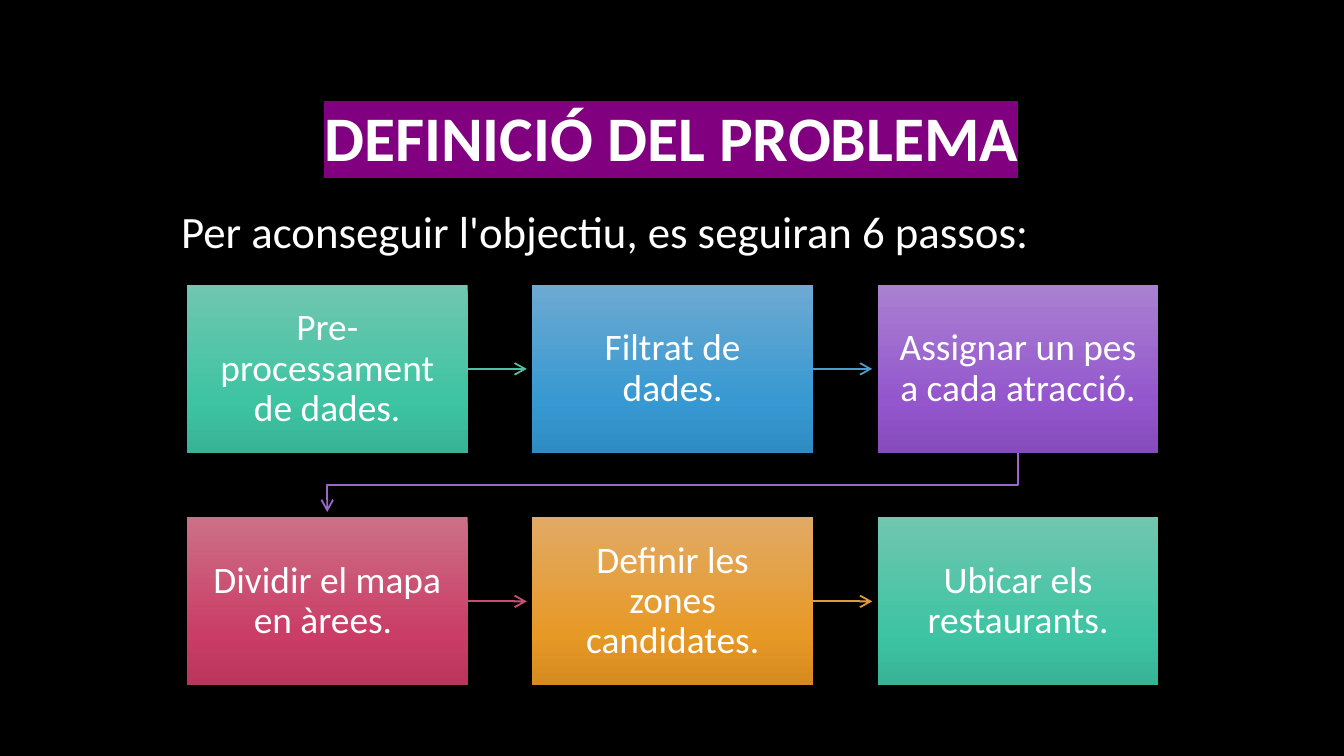
from copy import deepcopy

from lxml import etree
from pptx import Presentation
from pptx.dml.color import RGBColor
from pptx.enum import shapes, text
from pptx.oxml import ns
from pptx.util import Inches, Pt

BLACK = RGBColor(0x00, 0x00, 0x00)
WHITE = RGBColor(0xFF, 0xFF, 0xFF)
PURPLE = RGBColor(0x80, 0x00, 0x80)

# Each theme: gradient colours from top to bottom, then the arrow colour
GREEN = [RGBColor.from_string(c) for c in ("70C6AF", "3EC4A3", "37B395", "50BEA3")]
BLUE = [RGBColor.from_string(c) for c in ("6DAAD2", "3799D2", "2F8CC2", "4A9CCC")]
VIOLET = [RGBColor.from_string(c) for c in ("A981D1", "9456CD", "864BBC", "9A66CA")]
RED = [RGBColor.from_string(c) for c in ("CC7087", "CA3D66", "BA355B", "C54F71")]
ORANGE = [RGBColor.from_string(c) for c in ("E2AA66", "E79926", "D68B1F", "DE9C3C")]
STOPS = (0, 0.69, 1)

STEPS = [
    ("Pre-processament de dades.", GREEN),
    ("Filtrat de dades.", BLUE),
    ("Assignar un pes a cada atracció.", VIOLET),
    ("Dividir el mapa en àrees. ", RED),
    ("Definir les zones candidates.", ORANGE),
    ("Ubicar els restaurants.", GREEN),
]
COLUMNS = 3
STEP_WIDTH, STEP_HEIGHT = 2.09, 1.25
ARROW_GAP = 0.04


def write(frame, words, size, frame_format, para_format, bold=False):
    for name, value in frame_format.items():
        setattr(frame, name, value)
    para = frame.paragraphs[0]
    for name, value in para_format.items():
        setattr(para, name, value)
    span = para.add_run()
    span.text = words
    for name, value in {"name": "Calibri", "size": Pt(size), "bold": bold}.items():
        setattr(span.font, name, value)
    span.font.color.rgb = WHITE
    return span


def add_title(page, left, top, width, height):
    title = page.shapes.title
    box = {"left": left, "top": top, "width": width, "height": height}
    for name, value in box.items():
        setattr(title, name, Inches(value))
    span = write(title.text_frame, "DEFINICIÓ DEL PROBLEMA", 34,
                 {"vertical_anchor": text.MSO_ANCHOR.MIDDLE, "word_wrap": True},
                 {"alignment": text.PP_ALIGN.CENTER, "line_spacing": 0.9}, bold=True)
    # Highlight follows the text colour in the run properties
    highlight = etree.Element(ns.qn("a:highlight"))
    etree.SubElement(highlight, ns.qn("a:srgbClr"), val=str(PURPLE))
    span._r.rPr.find(ns.qn("a:solidFill")).addnext(highlight)


def add_intro(page, left, top, width, height):
    box = page.shapes.add_textbox(*map(Inches, (left, top, width, height)))
    write(box.text_frame, "Per aconseguir l'objectiu, es seguiran 6 passos:", 24,
          {"word_wrap": True}, {"alignment": text.PP_ALIGN.LEFT})


def add_step(page, words, theme, left, top):
    step = page.shapes.add_shape(
        shapes.MSO_SHAPE.RECTANGLE,
        *map(Inches, (left, top, STEP_WIDTH, STEP_HEIGHT)))
    step.shadow.inherit = False
    step.line.fill.background()
    step.fill.gradient()
    step.fill.gradient_angle = 270
    # A new gradient has two stops; a third is needed
    last_stop = step._element.spPr.findall(".//" + ns.qn("a:gs"))[-1]
    last_stop.addnext(deepcopy(last_stop))
    for stop, position, color in zip(step.fill.gradient_stops, STOPS, theme):
        stop.position = position
        stop.color.rgb = color
    margins = dict.fromkeys(
        ("margin_left", "margin_top", "margin_right", "margin_bottom"), Inches(0.16))
    write(step.text_frame, words, 20,
          {"vertical_anchor": text.MSO_ANCHOR.MIDDLE, "word_wrap": True, **margins},
          {"alignment": text.PP_ALIGN.CENTER, "line_spacing": 0.9})


def style_arrow(arrow, color):
    arrow.line.color.rgb = color
    arrow.line.width = Pt(1)
    line = arrow._element.spPr.find(ns.qn("a:ln"))
    etree.SubElement(line, ns.qn("a:tailEnd"), type="arrow")


def add_straight_arrow(page, color, start, end, y):
    arrow = page.shapes.add_connector(
        shapes.MSO_CONNECTOR.STRAIGHT, *map(Inches, (start, y, end, y)))
    style_arrow(arrow, color)
    etree.SubElement(arrow._element.spPr, ns.qn("a:effectLst"))


def add_return_arrow(page, color, start, end, top, bottom, turn):
    points = [(start, top), (start, turn), (end, turn), (end, bottom)]
    corners = [(Inches(x), Inches(y)) for x, y in points]
    builder = page.shapes.build_freeform(*corners[0])
    builder.add_line_segments(corners[1:], close=False)
    arrow = builder.convert_to_shape()
    arrow.fill.background()
    arrow.shadow.inherit = False
    style_arrow(arrow, color)


def add_process(page, left, top, width, height):
    column_pitch = (width - STEP_WIDTH) / (COLUMNS - 1)
    row_pitch = height - STEP_HEIGHT
    for index, (words, theme) in enumerate(STEPS):
        row, column = divmod(index, COLUMNS)
        x, y = left + column * column_pitch, top + row * row_pitch
        # Arrow to the next step
        if column < COLUMNS - 1:
            add_straight_arrow(page, theme[-1], x + STEP_WIDTH,
                               x + column_pitch - ARROW_GAP, y + STEP_HEIGHT / 2)
        elif index < len(STEPS) - 1:
            bottom = y + STEP_HEIGHT
            add_return_arrow(page, theme[-1], x + STEP_WIDTH / 2,
                             left + STEP_WIDTH / 2, bottom,
                             y + row_pitch - ARROW_GAP,
                             (bottom + y + row_pitch) / 2)
        add_step(page, words, theme, x, y)


def main():
    deck = Presentation()
    # Widescreen, 16:9
    deck.slide_width = Inches(10)
    deck.slide_height = deck.slide_width * 9 // 16
    page = deck.slides.add_slide(deck.slide_layouts[5])
    page.background.fill.solid()
    page.background.fill.fore_color.rgb = BLACK
    add_title(page, 0.75, 0.5, 8.49, 1.09)
    add_process(page, 1.39, 2.12, 7.23, 2.98)
    add_intro(page, 1.25, 1.47, 7.4, 0.5)
    deck.save("out.pptx")


if __name__ == "__main__":
    main()
